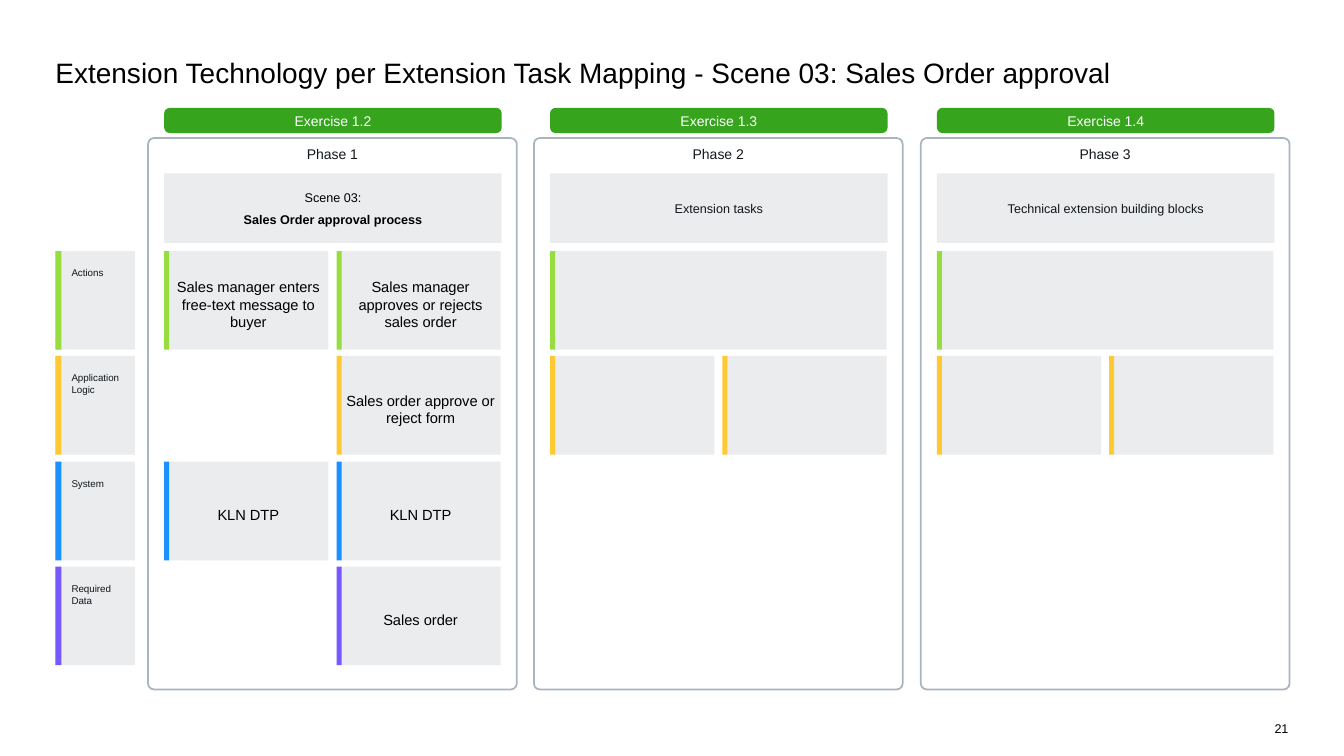
from dataclasses import dataclass
from typing import NamedTuple, Optional

from pptx import Presentation
from pptx.dml.color import RGBColor
from pptx.enum.shapes import MSO_SHAPE
from pptx.enum.text import MSO_ANCHOR, PP_ALIGN
from pptx.util import Emu, Pt

PX = 9144
BLACK = RGBColor(0x00, 0x00, 0x00)
INK = RGBColor(0x12, 0x17, 0x1C)
WHITE = RGBColor(0xFF, 0xFF, 0xFF)
PANEL = RGBColor(0xEA, 0xEC, 0xEE)
FRAME = RGBColor(0xA9, 0xB4, 0xBE)
GREEN = RGBColor(0x36, 0xA4, 0x1D)
LIME = RGBColor(0x97, 0xDD, 0x40)
AMBER = RGBColor(0xFF, 0xC9, 0x33)
BLUE = RGBColor(0x1B, 0x90, 0xFF)
VIOLET = RGBColor(0x78, 0x58, 0xFF)

ROW_TOP, ROW_HEIGHT = 249, 98
PHASE_LEFT, PHASE_TOP, PHASE_WIDTH, PHASE_HEIGHT = 147, 137, 366, 547
INNER_OFFSET, INNER_WIDTH = 16, 335
TASK_STEP, TASK_WIDTH, WIDE_TASK_WIDTH = 171, 159, 330
STRIPE_WIDTH, STRIPE_STEP = 5, 4


class Box(NamedTuple):
    left: int
    top: int
    width: int
    height: int

    def emu(self) -> list[Emu]:
        return [Emu(length * PX) for length in self]


@dataclass(frozen=True)
class TextStyle:
    size: float
    color: RGBColor = INK
    align: PP_ALIGN = PP_ALIGN.CENTER
    anchor: MSO_ANCHOR = MSO_ANCHOR.MIDDLE
    insets: tuple[int, int, int, int] = (0, 0, 0, 0)
    wrap: bool = True


@dataclass(frozen=True)
class Line:
    text: str
    bold: bool = False


@dataclass(frozen=True)
class Layer:
    label: tuple[str, ...]
    color: RGBColor


@dataclass(frozen=True)
class Task:
    layer: int
    column: int
    text: str = ""
    wide: bool = False


@dataclass(frozen=True)
class Phase:
    exercise: str
    name: str
    heading: tuple[Line, ...]
    heading_color: RGBColor
    tasks: tuple[Task, ...]


TITLE = TextStyle(20, BLACK, PP_ALIGN.LEFT, MSO_ANCHOR.TOP)
PAGE_NUMBER = TextStyle(9, BLACK, PP_ALIGN.RIGHT, MSO_ANCHOR.TOP, wrap=False)
EXERCISE = TextStyle(10, WHITE)
PHASE_NAME = TextStyle(10, INK, anchor=MSO_ANCHOR.TOP, insets=(10, 6, 10, 8))
LAYER_LABEL = TextStyle(7, INK, PP_ALIGN.LEFT, MSO_ANCHOR.TOP, (16, 16, 4, 0))
TASK_TEXT = TextStyle(10.5, BLACK, insets=(4, 8, 4, 0))

LAYERS = (
    Layer(("Actions",), LIME),
    Layer(("Application Logic",), AMBER),
    Layer(("System",), BLUE),
    Layer(("Required", "Data"), VIOLET),
)
OPEN_TASKS = (Task(0, 0, wide=True), Task(1, 0), Task(1, 1))
PHASES = (
    Phase(
        "Exercise 1.2",
        "Phase 1",
        (Line("Scene 03:"), Line("Sales Order approval process", bold=True)),
        BLACK,
        (
            Task(0, 0, "Sales manager enters free-text message to buyer"),
            Task(0, 1, "Sales manager approves or rejects sales order"),
            Task(1, 1, "Sales order approve or reject form"),
            Task(2, 0, "KLN DTP"),
            Task(2, 1, "KLN DTP"),
            Task(3, 1, "Sales order"),
        ),
    ),
    Phase("Exercise 1.3", "Phase 2", (Line("Extension tasks"),), INK, OPEN_TASKS),
    Phase("Exercise 1.4", "Phase 3",
          (Line("Technical extension building blocks"),), INK, OPEN_TASKS),
)


def write(frame, lines: tuple[Line, ...], style: TextStyle, breaks: bool = False) -> None:
    frame.word_wrap = style.wrap
    frame.vertical_anchor = style.anchor
    (frame.margin_left, frame.margin_top,
     frame.margin_right, frame.margin_bottom) = (Emu(inset * PX) for inset in style.insets)
    paragraph = frame.paragraphs[0]
    for index, line in enumerate(lines):
        if index and breaks:
            paragraph.add_line_break()
        elif index:
            paragraph = frame.add_paragraph()
            paragraph.space_before = Pt(5)
        paragraph.alignment = style.align
        run = paragraph.add_run()
        run.text = line.text
        run.font.name = "Arial"
        run.font.size = Pt(style.size)
        run.font.bold = line.bold
        run.font.color.rgb = style.color


def add_block(slide, box: Box, fill: Optional[RGBColor], rounding: float = 0):
    kind = MSO_SHAPE.ROUNDED_RECTANGLE if rounding else MSO_SHAPE.RECTANGLE
    block = slide.shapes.add_shape(kind, *box.emu())
    block.shadow.inherit = False
    if rounding:
        block.adjustments[0] = rounding
    if fill is None:
        block.fill.background()
        block.line.color.rgb = FRAME
        block.line.width = Pt(1.25)
    else:
        block.fill.solid()
        block.fill.fore_color.rgb = fill
        block.line.fill.background()
    return block


def add_caption(slide, box: Box, text: str, style: TextStyle) -> None:
    caption = slide.shapes.add_textbox(*box.emu())
    write(caption.text_frame, (Line(text),), style)


def layer_top(layer: int) -> int:
    return ROW_TOP + layer * 209 // 2


def draw_layer(slide, index: int, layer: Layer) -> None:
    top = layer_top(index)
    panel = add_block(slide, Box(55, top, 79, ROW_HEIGHT), PANEL)
    write(panel.text_frame, tuple(Line(part) for part in layer.label), LAYER_LABEL, breaks=True)
    add_block(slide, Box(55, top, 6, ROW_HEIGHT), layer.color)


def draw_task(slide, inner_left: int, task: Task) -> None:
    left = inner_left + task.column * TASK_STEP
    top = layer_top(task.layer)
    width = WIDE_TASK_WIDTH if task.wide else TASK_WIDTH
    panel = add_block(slide, Box(left + STRIPE_STEP, top, width, ROW_HEIGHT), PANEL)
    if task.text:
        write(panel.text_frame, (Line(task.text),), TASK_TEXT)
    add_block(slide, Box(left, top, STRIPE_WIDTH, ROW_HEIGHT), LAYERS[task.layer].color)


def draw_phase(slide, index: int, phase: Phase) -> None:
    left = PHASE_LEFT + index * 767 // 2
    inner_left = left + INNER_OFFSET
    frame = add_block(slide, Box(left, PHASE_TOP, PHASE_WIDTH, PHASE_HEIGHT), None, 0.016)
    write(frame.text_frame, (Line(phase.name),), PHASE_NAME)
    exercise = add_block(slide, Box(inner_left, 107, INNER_WIDTH, 25), GREEN, 0.217)
    write(exercise.text_frame, (Line(phase.exercise),), EXERCISE)
    heading = add_block(slide, Box(inner_left, 172, INNER_WIDTH, 69), PANEL)
    write(heading.text_frame, phase.heading, TextStyle(9, phase.heading_color))
    for task in phase.tasks:
        draw_task(slide, inner_left, task)


def main() -> None:
    deck = Presentation()
    deck.slide_width, deck.slide_height = Emu(1334 * PX), Emu(750 * PX)
    slide = deck.slides.add_slide(deck.slide_layouts[6])
    add_caption(slide, Box(55, 55, 1223, 34),
                "Extension Technology per Extension Task Mapping - Scene 03: Sales Order approval",
                TITLE)
    for index, phase in enumerate(PHASES):
        draw_phase(slide, index, phase)
    for index, layer in enumerate(LAYERS):
        draw_layer(slide, index, layer)
    add_caption(slide, Box(1263, 715, 16, 15), "21", PAGE_NUMBER)
    deck.save("out.pptx")


if __name__ == "__main__":
    main()
